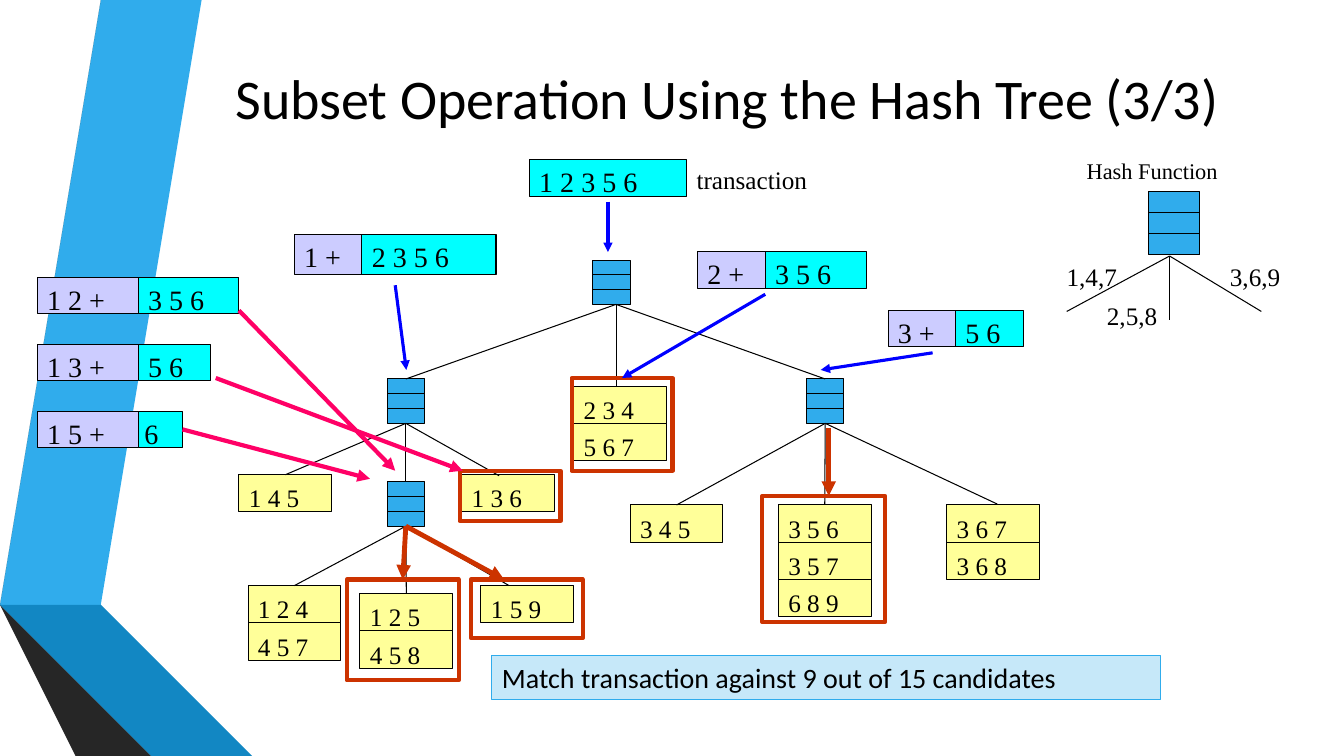
from dataclasses import dataclass

from lxml.etree import SubElement
from pptx import Presentation
from pptx.dml.color import RGBColor
from pptx.enum.shapes import MSO_CONNECTOR as CONN, MSO_SHAPE as SHAPE
from pptx.enum.text import MSO_ANCHOR as ANCHOR, MSO_AUTO_SIZE as AUTO, PP_ALIGN as ALIGN
from pptx.oxml.ns import qn
from pptx.util import Inches, Pt


@dataclass(frozen=True)
class Theme:
    sans: str = "Calibri"
    serif: str = "Times New Roman"
    title: int = 40
    large: int = 20
    body: int = 18
    small: int = 16
    ink: str = "000000"
    node: str = "30ACEC"
    leaf: str = "FFFF99"
    prefix: str = "CCCCFF"
    suffix: str = "00FFFF"
    match: str = "CC3300"
    level1: str = "0000FF"
    level2: str = "FF0066"
    thin: float = 0.75


T = Theme()
TITLE = "Subset Operation Using the Hash Tree (3/3)"
SUMMARY = "Match transaction against 9 out of 15 candidates"
RIBBONS = [
    ("30ACEC", [(0.5, 5.78), (0.77, 5.83), (1.73, 0), (1.45, 0)]),
    ("595959", [(1.39, 0), (1.11, 0), (0.16, 5.73), (0.44, 5.77)]),
    ("262626", [(0.16, 5.73), (1.45, 7.5), (1.51, 7.5)]),
    ("0C5A82", [(0.5, 5.79), (2.08, 7.5), (2.14, 7.5)]),
    ("1287C3", [(0.5, 5.79), (2.14, 7.5), (2.83, 7.5), (0.77, 5.83), (0.5, 5.78)]),
    ("404040", [(2.02, 7.5), (0.48, 5.83), (0.43, 5.78), (0.44, 5.77), (0.16, 5.73), (1.51, 7.5)]),
]
NODES = [(5.88, 2.58, 0.37, 0.44), (3.84, 3.76, 0.37, 0.44), (8, 3.76, 0.37, 0.44),
         (3.84, 4.78, 0.37, 0.44), (11.39, 1.9, 0.51, 0.63)]
LEAVES = [
    (2.37, 4.71, ["1 4 5"]),
    (4.58, 4.71, ["1 3 6"]),
    (2.46, 5.81, ["1 2 4", "4 5 7"]),
    (3.57, 5.89, ["1 2 5", "4 5 8"]),
    (4.77, 5.81, ["1 5 9"]),
    (5.69, 3.83, ["2 3 4", "5 6 7"]),
    (6.25, 5.01, ["3 4 5"]),
    (7.72, 5.01, ["3 5 6", "3 5 7", "6 8 9"]),
    (9.39, 5.01, ["3 6 7", "3 6 8"]),
]
BRANCHES = [
    ((6.11, 3.02), [(4.03, 3.76), (6.11, 3.83), (8.19, 3.76)]),
    ((4.02, 4.2), [(2.83, 4.72), (4.02, 4.78), (4.95, 4.72)]),
    ((8.19, 4.2), [(6.71, 5.01), (8.19, 5.01), (9.89, 5)]),
    ((4.03, 5.23), [(2.92, 5.81), (4.03, 5.89), (5.05, 5.81)]),
    ((11.6, 2.54), [(10.58, 3.09), (11.6, 3.17), (12.51, 3.09)]),
]
SUBSETS = [
    (5.25, 1.58, 0.37, [("1 2 3 5 6", 1.56, T.suffix)]),
    (2.92, 2.33, 0.39, [("1 +", 0.67, T.prefix), ("2 3 5 6", 1.33, T.suffix)]),
    (6.92, 2.5, 0.36, [("2 +", 0.67, T.prefix), ("3 5 6", 1, T.suffix)]),
    (8.81, 3.08, 0.36, [("3 +", 0.67, T.prefix), ("5 6", 0.67, T.suffix)]),
    (0.37, 2.75, 0.36, [("1 2 +", 1, T.prefix), ("3 5 6", 1, T.suffix)]),
    (0.37, 3.42, 0.36, [("1 3 +", 1, T.prefix), ("5 6", 0.72, T.suffix)]),
    (0.37, 4.08, 0.36, [("1 5 +", 1, T.prefix), ("6", 0.44, T.suffix)]),
]
LABELS = [
    ("transaction", 6.81, 1.58, 1.31, T.body),
    ("Hash Function", 10.68, 1.51, 1.52, T.small),
    ("1,4,7", 10.48, 2.54, 0.71, T.body),
    ("2,5,8", 10.88, 2.93, 0.71, T.body),
    ("3,6,9", 12.1, 2.54, 0.71, T.body),
]
MATCHES = [(3.44, 5.75, 1.11, 1), (4.67, 5.75, 1.11, 0.58), (5.67, 3.75, 1, 0.92),
           (4.56, 4.67, 1, 0.5), (7.56, 4.92, 1.22, 1.25)]
ARROWS = [
    (T.level1, 2.25, [((6.03, 2), (6.03, 2.5)), ((3.92, 2.83), (4.03, 3.67)),
                      ((7.59, 2.92), (6.14, 3.75)), ((9.25, 3.5), (8.14, 3.67))]),
    (T.level2, 3, [((2.37, 3.08), (3.92, 4.67)), ((1.78, 4.25), (3.67, 4.75)),
                   ((2.14, 3.75), (4.59, 4.67))]),
    (T.match, 3.5, [((4, 5.25), (4, 5.75)), ((4, 5.25), (5, 5.75)),
                    ((8.22, 4.25), (8.22, 4.92))]),
]
LEAF_W, LEAF_H = 0.92, 0.37
SNAP = Inches(0.03)


def rgb(color):
    return RGBColor.from_string(color)


def write(tf, text, size, font=T.serif):
    p = tf.paragraphs[0]
    p.text = text
    p.alignment = ALIGN.LEFT
    p.font.size, p.font.name = Pt(size), font
    p.font.color.rgb = rgb(T.ink)


def box(s, x, y, w, h, fill=None, line=T.ink, width=T.thin):
    sp = s.shapes.add_shape(SHAPE.RECTANGLE, *map(Inches, (x, y, w, h)))
    sp.shadow.inherit = False
    if fill:
        sp.fill.solid()
        sp.fill.fore_color.rgb = rgb(fill)
    else:
        sp.fill.background()
    sp.line.color.rgb = rgb(line)
    sp.line.width = Pt(width)
    return sp


def cell(s, x, y, w, h, fill, text, size, top):
    sp = box(s, x, y, w, h, fill)
    tf = sp.text_frame
    tf.word_wrap = True
    tf.vertical_anchor = ANCHOR.TOP
    tf.margin_left = Inches(min(0.1, w / 7))
    tf.margin_top, tf.margin_right, tf.margin_bottom = Inches(top), 0, 0
    write(tf, text, size)
    return sp


def link(s, start, end, color=T.ink, width=T.thin, arrow=False, targets=()):
    ends = [tuple(map(Inches, start)), tuple(map(Inches, end))]
    c = s.shapes.add_connector(CONN.STRAIGHT, *ends[0], *ends[1])
    c.line.color.rgb = rgb(color)
    c.line.width = Pt(width)
    SubElement(c._element.spPr, qn("a:effectLst"))
    if arrow:
        SubElement(c.line._get_or_add_ln(), qn("a:tailEnd"), type="triangle")
    for (x, y), join in zip(ends, (c.begin_connect, c.end_connect)):
        for sp in targets:
            cx, cy = sp.left + sp.width // 2, sp.top + sp.height // 2
            sides = [(cx, sp.top), (sp.left, cy), (cx, sp.top + sp.height), (sp.left + sp.width, cy)]
            near = [i for i, (sx, sy) in enumerate(sides) if max(abs(sx - x), abs(sy - y)) <= SNAP]
            if near:
                join(sp, near[0])
                break


def main():
    """Build the hash tree slide and save it."""
    prs = Presentation()
    prs.slide_width, prs.slide_height = Inches(13.33), Inches(7.5)
    s = prs.slides.add_slide(prs.slide_layouts[5])
    for color, points in RIBBONS:
        fb = s.shapes.build_freeform(*points[0], scale=Inches(1))
        fb.add_line_segments(points[1:], close=True)
        sp = fb.convert_to_shape()
        sp.shadow.inherit = False
        sp.fill.solid()
        sp.fill.fore_color.rgb = rgb(color)
        sp.line.fill.background()

    title = s.shapes.title
    title.left, title.top, title.width, title.height = map(Inches, (1.73, 0, 10.96, 1.92))
    tf = title.text_frame
    tf.auto_size, tf.vertical_anchor = AUTO.NONE, ANCHOR.MIDDLE
    write(tf, TITLE, T.title, T.sans)
    tf.paragraphs[0].alignment = ALIGN.CENTER

    targets = []
    for x, y, w, h in NODES:
        targets.append(box(s, x, y, w, h, T.node))
        for i in (1, 2):
            link(s, (x, y + i * h / 3), (x + w, y + i * h / 3))
    for x, y, rows in LEAVES:
        for i, text in enumerate(rows):
            targets.append(cell(s, x, y + i * LEAF_H, LEAF_W, LEAF_H, T.leaf, text, T.body, 0.08))
    for start, ends in BRANCHES:
        for end in ends:
            link(s, start, end, targets=targets)
    for x, y, h, parts in SUBSETS:
        for text, w, fill in parts:
            targets.append(cell(s, x, y, w, h, fill, text, T.large, 0.05))
            x += w
    for text, x, y, w, size in LABELS:
        tf = s.shapes.add_textbox(*map(Inches, (x, y, w, 0.4))).text_frame
        tf.word_wrap = False
        write(tf, text, size)
    for frame in MATCHES:
        targets.append(box(s, *frame, line=T.match, width=3))
    for color, width, pairs in ARROWS:
        for start, end in pairs:
            link(s, start, end, color, width, True, targets)

    sp = box(s, 4.88, 6.5, 6.63, 0.44, T.node, T.node)
    SubElement(sp._element.spPr.find(qn("a:solidFill"))[0], qn("a:alpha"), val="27000")
    sp.text_frame.word_wrap = True
    sp.text_frame.vertical_anchor = ANCHOR.TOP
    write(sp.text_frame, SUMMARY, T.large, T.sans)
    prs.save("out.pptx")


if __name__ == "__main__":
    main()
